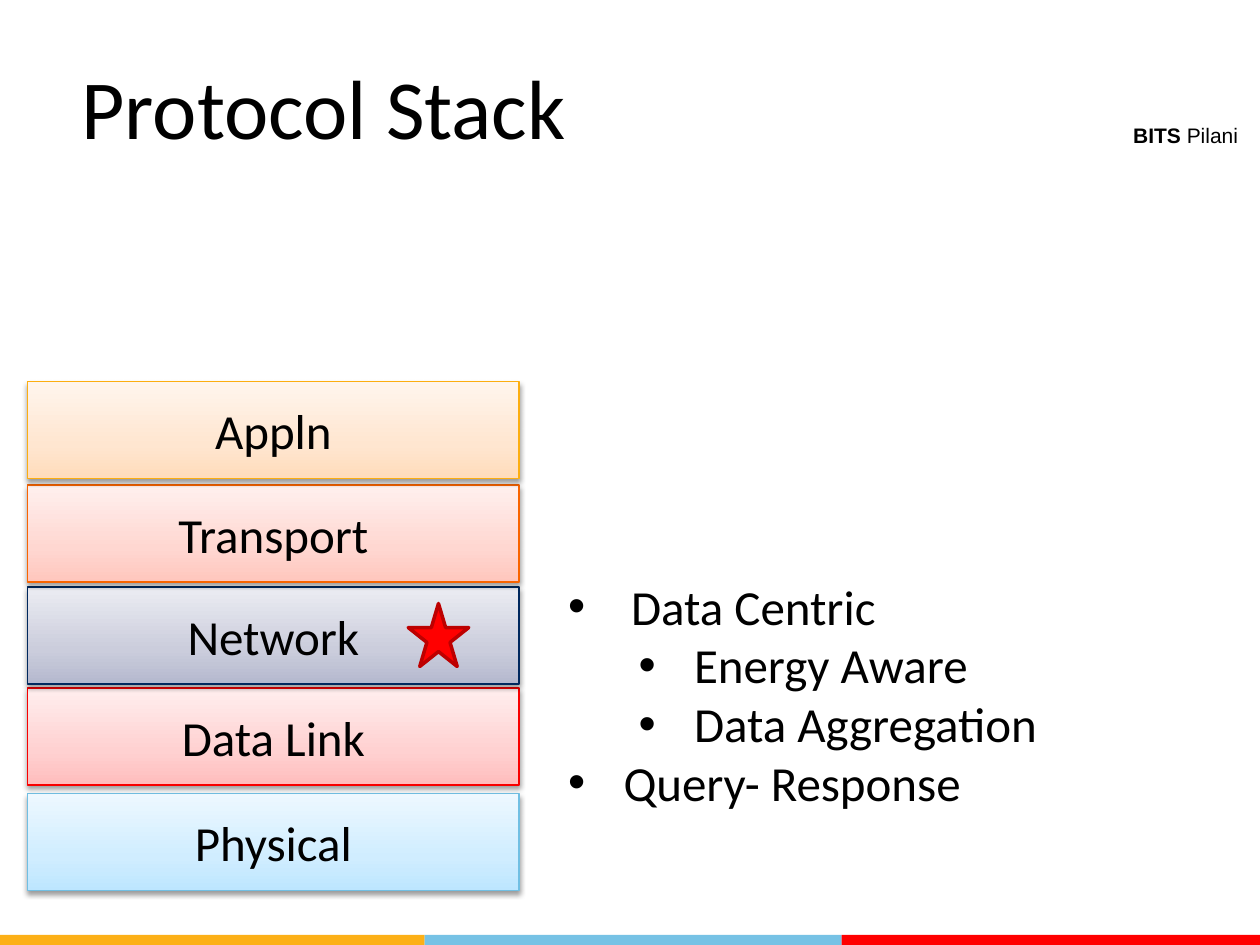
from copy import deepcopy

from lxml import etree
from pptx import Presentation, util as u
from pptx.dml.color import RGBColor
from pptx.enum import shapes, text
from pptx.oxml import parse_xml
from pptx.oxml.ns import nsdecls, qn

COLORS = {"black": "000000", "amber": "FCB017", "sky": "76C2E5", "red": "FF0000", "dark red": "BD0000"}
WIDTH, HEIGHT = 10, 7.5

# Content: layer name, top, outline, gradient from bottom to top
LAYERS = [
    ("Physical", 6.3, "71BFE3", ("BDE6FF", "D0EDFF", "EDF8FF")),
    ("Data Link", 5.46, "F90000", ("FFBDBD", "FFD1D1", "FFEEEE")),
    ("Network", 4.66, "00285E", ("B4B8CE", "CBCDDC", "EBECF2")),
    ("Transport", 3.85, "F96400", ("FFC6BD", "FFD7D1", "FFF0EE")),
    ("Appln", 3.03, "FCAE11", ("FFDCBB", "FFE6D0", "FFF5ED")),
]
STOPS = (0, 0.35, 1)
LAYER_LEFT, LAYER_WIDTH, LAYER_HEIGHT = 0.22, 3.9, 0.77
# Bullet text, left indent, hanging indent
NOTES = [
    ("Data Centric", 0.5, 0.5),
    ("Energy Aware", 1, 0.44),
    ("Data Aggregation", 1, 0.44),
    ("Query- Response", 0.44, 0.44),
]
BANDS = [("amber", 0, 3.37), ("sky", 3.37, 6.68), ("red", 6.68, WIDTH)]
BAND_HEIGHT = 0.08
SHADOW = (
    f'<a:outerShdw {nsdecls("a")} blurRad="{u.Pt(3.1)}" dist="{u.Pt(1.6)}" dir="5400000" rotWithShape="0">'
    '<a:srgbClr val="000000"><a:alpha val="38000"/></a:srgbClr></a:outerShdw>'
)


def rgb(value):
    return RGBColor.from_string(COLORS.get(value, value))


def place(left, top, width, height):
    return [u.Inches(side) for side in (left, top, width, height)]


def add_span(para, words, size=28, font="Calibri", bold=False, align=None):
    para.alignment = align
    span = para.add_run()
    span.text = words
    span.font.size, span.font.name, span.font.bold = u.Pt(size), font, bold
    span.font.color.rgb = rgb("black")


def add_box(page, area, inset=(0.1, 0.1), anchor=text.MSO_ANCHOR.BOTTOM):
    frame = page.shapes.add_textbox(*place(*area)).text_frame
    frame.word_wrap, frame.vertical_anchor = True, anchor
    frame.margin_top, frame.margin_bottom = map(u.Inches, inset)
    return frame


def add_shape(page, kind, area, fill=None, line=None, weight=0.75):
    shape = page.shapes.add_shape(kind, *place(*area))
    shape.shadow.inherit = False
    if fill:
        shape.fill.solid()
        shape.fill.fore_color.rgb = rgb(fill)
    if line:
        shape.line.color.rgb = rgb(line)
        shape.line.width = u.Pt(weight)
    else:
        shape.line.fill.background()
    return shape


def add_layer(page, name, top, line, shades):
    area = (LAYER_LEFT, top, LAYER_WIDTH, LAYER_HEIGHT)
    shape = add_shape(page, shapes.MSO_SHAPE.RECTANGLE, area, line=line)
    shape.fill.gradient()
    shape.fill.gradient_angle = 90
    properties = shape._element.spPr
    stop_list = properties.find(".//" + qn("a:gsLst"))
    stop_list.append(deepcopy(stop_list[-1]))
    for stop, position, shade in zip(shape.fill.gradient_stops, STOPS, shades):
        stop.position = position
        stop.color.rgb = rgb(shade)
    properties.find(qn("a:effectLst")).append(parse_xml(SHADOW))
    shape.text_frame.vertical_anchor = text.MSO_ANCHOR.MIDDLE
    add_span(shape.text_frame.paragraphs[0], name, align=text.PP_ALIGN.CENTER)


def add_bullet(para, words, indent, hanging):
    properties = para._p.get_or_add_pPr()
    properties.set("marL", str(u.Inches(indent)))
    properties.set("indent", str(-u.Inches(hanging)))
    etree.SubElement(properties, qn("a:buFont")).set("typeface", "Arial")
    etree.SubElement(properties, qn("a:buChar")).set("char", "•")
    add_span(para, words)


def main():
    deck = Presentation()
    deck.slide_width, deck.slide_height = u.Inches(WIDTH), u.Inches(HEIGHT)
    page = deck.slides.add_slide(deck.slide_layouts[6])

    # Footer bands
    for color, left, right in BANDS:
        area = (left, HEIGHT - BAND_HEIGHT, right - left, BAND_HEIGHT)
        add_shape(page, shapes.MSO_SHAPE.RECTANGLE, area, color)

    # University name and title
    para = add_box(page, (8.85, 0.92, 1.12, 0.29), (0.05, 0.05), text.MSO_ANCHOR.TOP).paragraphs[0]
    for words, bold in (("BITS", True), (" Pilani", False)):
        add_span(para, words, size=12, font="Arial", bold=bold, align=text.PP_ALIGN.CENTER)
    title = add_box(page, (0.55, 0.44, 7.14, 0.9))
    add_span(title.paragraphs[0], "Protocol Stack", size=48)

    # Protocol layers
    for layer in LAYERS:
        add_layer(page, *layer)

    # Notes on the network layer, with its star
    notes = add_box(page, (4.41, 4.45, 5.41, 2.56), (0.1, 0.57))
    for index, note in enumerate(NOTES):
        add_bullet(notes.add_paragraph() if index else notes.paragraphs[0], *note)
    add_shape(page, shapes.MSO_SHAPE.STAR_5_POINT, (3.24, 4.79, 0.48, 0.5), "red", "dark red", 2)

    deck.save("out.pptx")


if __name__ == "__main__":
    main()
